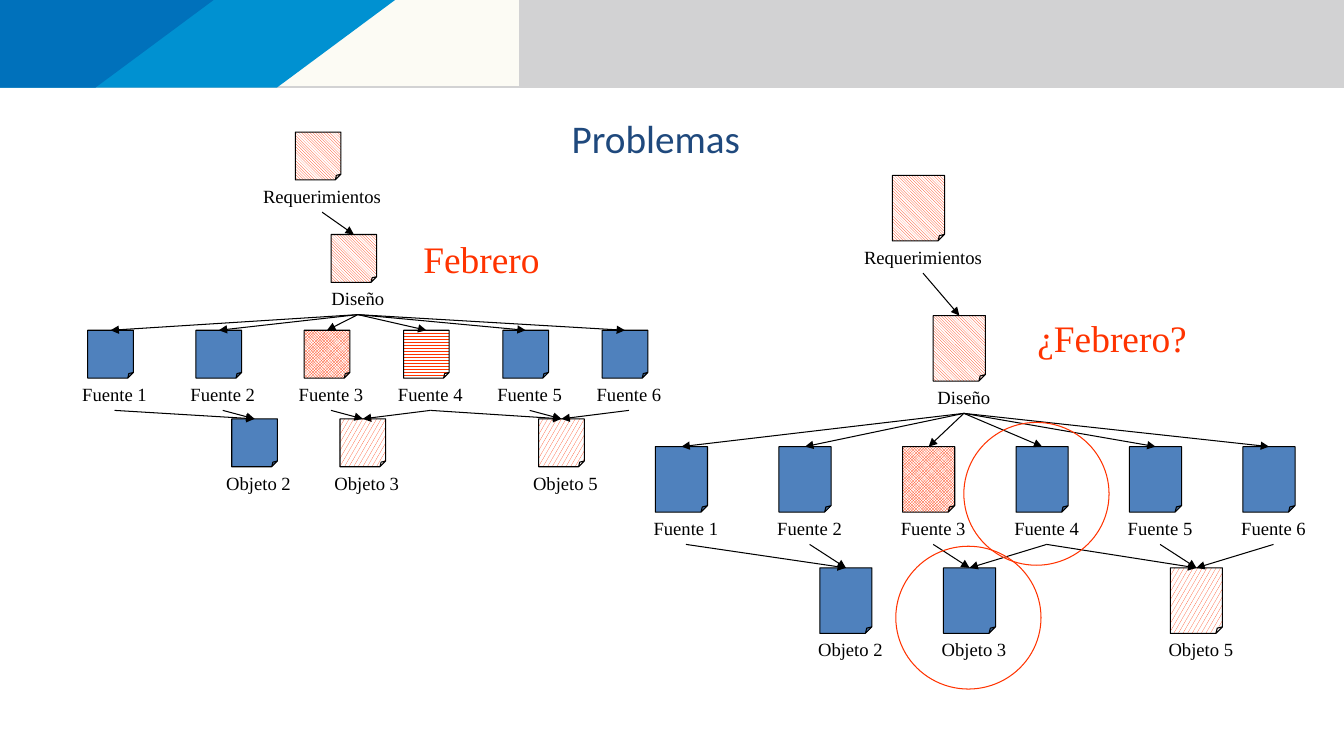
from dataclasses import dataclass

from lxml import etree
from pptx import Presentation
from pptx.dml.color import RGBColor
from pptx.enum.dml import MSO_PATTERN_TYPE as Pattern
from pptx.enum.shapes import MSO_CONNECTOR_TYPE as Connector, MSO_SHAPE as Shape
from pptx.enum.text import MSO_ANCHOR as Anchor, PP_ALIGN as Align
from pptx.oxml.ns import qn
from pptx.util import Inches, Pt


@dataclass(frozen=True)
class Theme:
    ink: str = "000000"
    paper: str = "FFFFFF"
    accent: str = "FF3300"
    file: str = "4F81BD"
    title: str = "1F497D"
    banner_gray: str = "D2D2D3"
    banner_cream: str = "FCFBF4"
    banner_light: str = "0091D1"
    banner_dark: str = "0071BB"
    title_font: str = "Calibri"
    body_font: str = "Times New Roman"
    title_size: float = 28
    month_size: float = 26.7
    label_size: float = 13.3
    line_width: float = 0.75


@dataclass(frozen=True)
class Grid:
    """Origin, column pitch and row pitch of one diagram, in inches."""
    left: float
    top: float
    column: float
    row: float

    def place(self, column, row):
        return Inches(self.left + column * self.column), Inches(self.top + row * self.row)

    def size(self, columns, rows):
        return Inches(columns * self.column), Inches(rows * self.row)


# Rows and columns shared by both diagrams
REQUIREMENT_ROW, DESIGN_ROW, SOURCE_ROW, OBJECT_ROW = 0, 2.14, 4.14, 5.99
SOURCE_COLUMNS = {1: 0, 2: 1.09, 3: 2.18, 4: 3.18, 5: 4.18, 6: 5.18}
STEP = 0.36  # sideways shift from a file to the one derived from it
ICON_WIDTH, LABEL_WIDTH, LABEL_CENTER = 0.46, 1.64, 0.27
LABEL_HEIGHT = Inches(0.32)
BUILDS = [(1, 2), (2, 2), (3, 3), (4, 3), (4, 5), (5, 5), (6, 5)]

DOCUMENT = Pattern.DARK_DOWNWARD_DIAGONAL
CHECKED = Pattern.SMALL_CHECKER_BOARD
COMPILED = Pattern.LARGE_CONFETTI
CHANGED = Pattern.ZIG_ZAG


class SlideBuilder:
    def __init__(self, deck, theme):
        self.theme = theme
        self.width, self.height = deck.slide_width, deck.slide_height
        self.page = deck.slides.add_slide(deck.slide_layouts[5])
        self.shapes = self.page.shapes

    def style(self, para, size, color, font, align):
        para.alignment = align
        para.font.size, para.font.name = Pt(size), font
        para.font.color.rgb = RGBColor.from_string(color)

    def outline(self, line, color):
        line.color.rgb = RGBColor.from_string(color)
        line.width = Pt(self.theme.line_width)

    def title(self, text, left, top, width, height):
        box = self.shapes.title
        box.left, box.top = int(left * self.width), int(top * self.height)
        box.width, box.height = int(width * self.width), int(height * self.height)
        box.text_frame.text = text
        box.text_frame.vertical_anchor = Anchor.MIDDLE
        theme = self.theme
        self.style(box.text_frame.paragraphs[0], theme.title_size, theme.title,
                   theme.title_font, Align.CENTER)

    def band(self, color, top_right, bottom_right, bottom):
        """Banner piece from the left edge; arguments are shares of the slide."""
        right, low_right = int(top_right * self.width), int(bottom_right * self.width)
        low = int(bottom * self.height)
        builder = self.shapes.build_freeform(0, 0)
        builder.add_line_segments([(right, 0), (low_right, low), (0, low)])
        shape = builder.convert_to_shape()
        shape.fill.solid()
        shape.fill.fore_color.rgb = RGBColor.from_string(color)
        shape.line.fill.background()
        shape.shadow.inherit = False

    def text(self, text, place, size, points, color, align, wrap):
        box = self.shapes.add_textbox(*place, *size)
        box.text_frame.word_wrap = wrap
        box.text_frame.text = text
        self.style(box.text_frame.paragraphs[0], points, color, self.theme.body_font, align)
        return box

    def file(self, grid, text, column, row, pattern=None):
        """Folded sheet with a label under it."""
        icon = self.shapes.add_shape(Shape.FOLDED_CORNER, *grid.place(column, row),
                                     *grid.size(ICON_WIDTH, 1))
        # The fold takes an eighth of the sheet
        guides = next(icon.element.spPr.iter(qn("a:avLst")))
        etree.SubElement(guides, qn("a:gd"), name="adj", fmla="val 12500")
        icon.shadow.inherit = False
        self.outline(icon.line, self.theme.ink)
        if pattern is None:
            icon.fill.solid()
            icon.fill.fore_color.rgb = RGBColor.from_string(self.theme.file)
        else:
            icon.fill.patterned()
            icon.fill.pattern = pattern
            icon.fill.fore_color.rgb = RGBColor.from_string(self.theme.accent)
            icon.fill.back_color.rgb = RGBColor.from_string(self.theme.paper)
        place = grid.place(column + LABEL_CENTER - LABEL_WIDTH / 2, row + 1)
        label = self.text(text, place, (grid.size(LABEL_WIDTH, 0)[0], LABEL_HEIGHT),
                          self.theme.label_size, self.theme.ink, Align.CENTER, True)
        return icon, label

    def arrow(self, source, target):
        """Arrow from the label of one file to the sheet of another."""
        connector = self.shapes.add_connector(Connector.STRAIGHT, 0, 0, 0, 0)
        connector.begin_connect(source[1], 2)
        connector.end_connect(target[0], 0)
        self.outline(connector.line, self.theme.ink)
        properties = connector.element.spPr
        etree.SubElement(properties.find(qn("a:ln")), qn("a:tailEnd"), type="triangle")
        etree.SubElement(properties, qn("a:effectLst"))

    def ring(self, grid, column, row):
        ring = self.shapes.add_shape(Shape.OVAL, *grid.place(column, row),
                                     *grid.size(1.28, 2.18))
        ring.fill.background()
        ring.shadow.inherit = False
        self.outline(ring.line, self.theme.accent)

    def diagram(self, grid, month, source_fills, object_fills):
        requirement = self.file(grid, "Requerimientos", SOURCE_COLUMNS[2] + 1,
                                REQUIREMENT_ROW, DOCUMENT)
        design = self.file(grid, "Diseño", SOURCE_COLUMNS[2] + 1 + STEP,
                           DESIGN_ROW, DOCUMENT)
        sources = {number: self.file(grid, f"Fuente {number}", column, SOURCE_ROW,
                                     source_fills.get(number))
                   for number, column in SOURCE_COLUMNS.items()}
        objects = {number: self.file(grid, f"Objeto {number}",
                                     SOURCE_COLUMNS[number] + STEP, OBJECT_ROW,
                                     object_fills.get(number))
                   for number in (2, 3, 5)}
        self.arrow(requirement, design)
        for source in sources.values():
            self.arrow(design, source)
        for source, target in BUILDS:
            self.arrow(sources[source], objects[target])
        self.text(month, grid.place(3.28, 2.06), (Inches(1.7), Inches(0.55)),
                  self.theme.month_size, self.theme.accent, Align.LEFT, False)


def main():
    deck = Presentation()
    deck.slide_width, deck.slide_height = Inches(13.33), Inches(7.5)
    theme = Theme()
    slide = SlideBuilder(deck, theme)

    # Banner
    slide.band(theme.banner_gray, 1, 1, 0.116)
    slide.band(theme.banner_cream, 0.386, 0.386, 0.114)
    slide.band(theme.banner_light, 0.294, 0.206, 0.116)
    slide.band(theme.banner_dark, 0.159, 0.071, 0.116)

    # Title
    slide.title("Problemas", 0.063, 0.144, 0.85, 0.077)

    # Later state, with the two doubtful files ringed
    later = Grid(6.5, 1.74, 1.125, 0.65)
    slide.diagram(later, "¿Febrero?", {3: CHECKED}, {5: COMPILED})
    slide.ring(later, 2.12, 5.66)
    slide.ring(later, 2.72, 3.77)

    # February state
    february = Grid(0.87, 1.31, 0.985, 0.475)
    slide.diagram(february, "Febrero", {3: CHECKED, 4: CHANGED},
                  {3: COMPILED, 5: COMPILED})

    deck.save("out.pptx")


if __name__ == "__main__":
    main()
